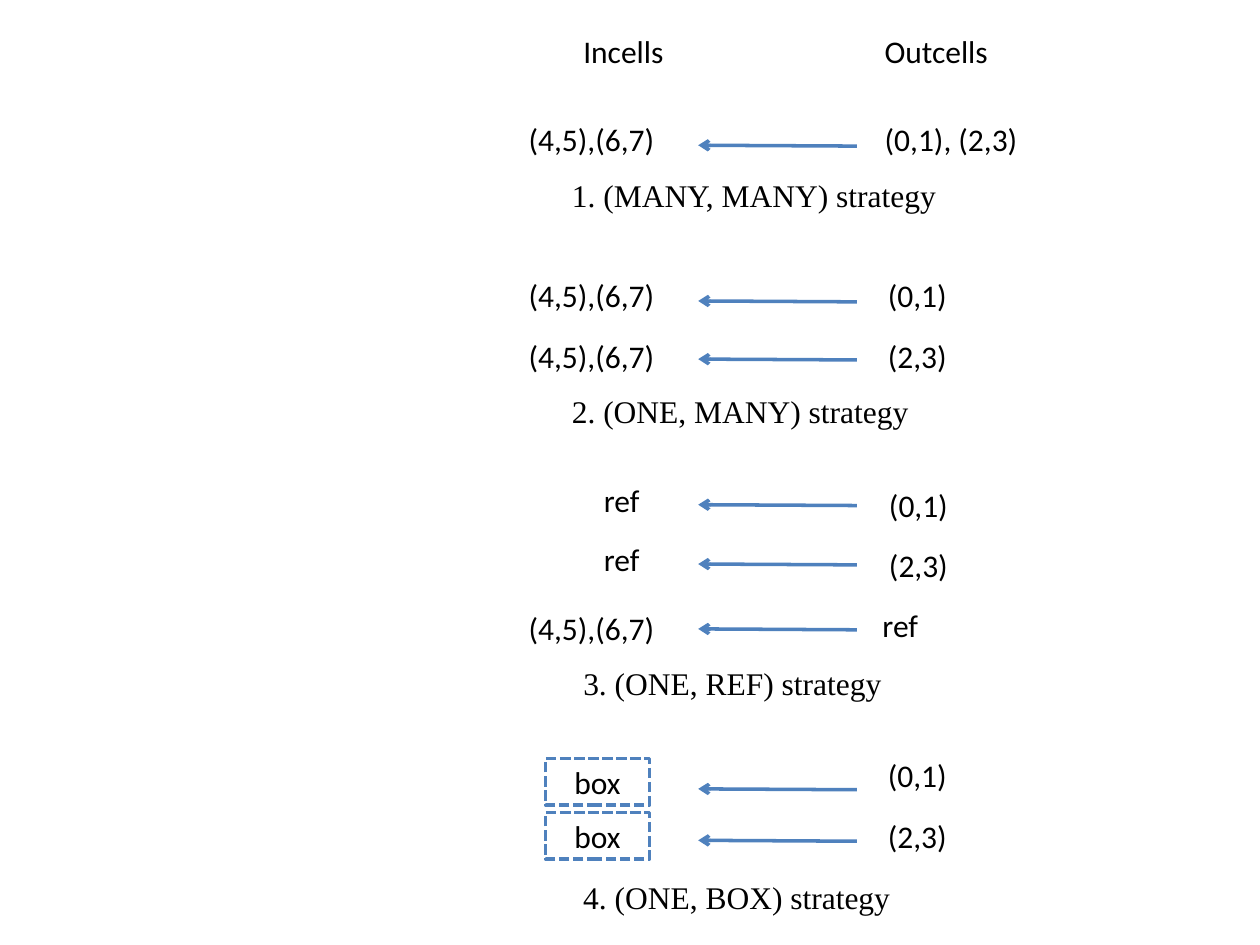
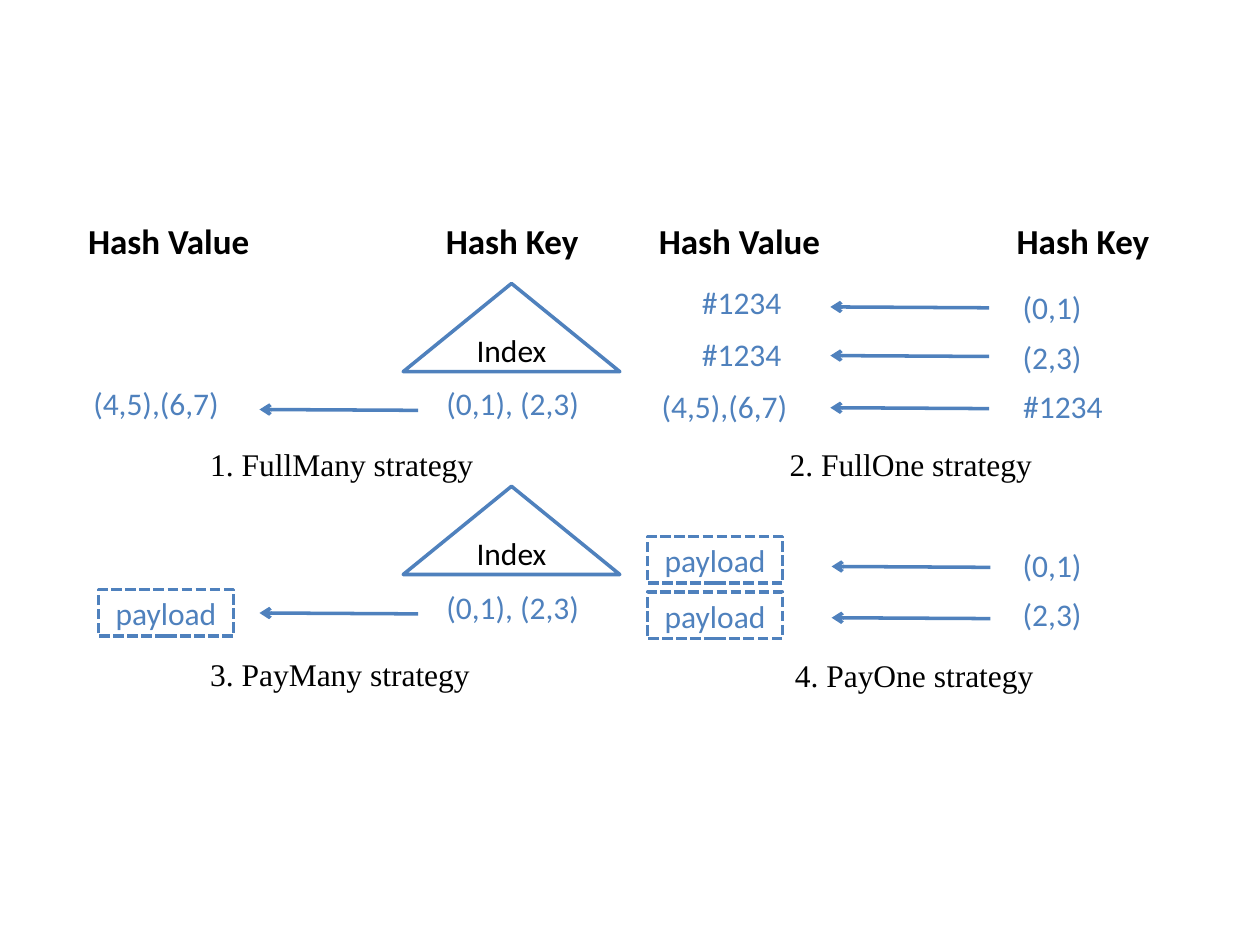
"""Two slides comparing how strategies map outcells and hash keys to values."""
from dataclasses import dataclass
from typing import NamedTuple, Optional

from lxml import etree
from pptx import Presentation
from pptx.dml.color import RGBColor
from pptx.enum import dml, shapes, text
from pptx.oxml import ns
from pptx.util import Pt

BLACK, WHITE, BLUE = "000000", "FFFFFF", "4F81BD"
SANS, SERIF = "Calibri", "Times New Roman"
LINE_WIDTH = 2
ARROW_LENGTH, ARROW_DROP = 90.7, 0.5
INDEX_SIZE = (123.8, 50.4)


@dataclass(frozen=True)
class Kind:
    """The look of one sort of cell, with its shift inside each column."""
    width: float
    height: float = 26.6
    centred: bool = True
    dashed: bool = False
    value_dx: float = 0
    key_dx: float = 0


class Row(NamedTuple):
    """A value and a key joined by an arrow, with the top of each."""
    value: str
    key: str
    value_y: float
    arrow_y: float
    key_y: float


class Label(NamedTuple):
    """A free line of text."""
    words: str
    x: float
    y: float
    width: float


class Panel(NamedTuple):
    """One strategy: its columns, rows, caption and optional index triangle."""
    value_x: float
    arrow_x: float
    key_x: float
    rows: list[Row]
    caption: Label
    index_at: Optional[tuple[float, float]] = None


PAIR = Kind(92)
SINGLE = Kind(53.3)
KINDS = {
    "(0,1)": SINGLE,
    "(2,3)": SINGLE,
    "(0,1), (2,3)": PAIR,
    "(4,5),(6,7)": PAIR,
    "ref": Kind(43, 28.8, centred=False, value_dx=46, key_dx=-1),
    "#1234": Kind(63.4, 28.8, centred=False, value_dx=26, key_dx=3),
    "box": Kind(59.3, dashed=True),
    "payload": Kind(77.2, dashed=True),
}

CELL_HEADS = [Label("Incells", 326.2, 14.5, 61.2), Label("Outcells", 498.4, 14.5, 74.2)]
CELL_PANELS = [
    Panel(292, 399, 497.5, [Row("(4,5),(6,7)", "(0,1), (2,3)", 66.2, 83, 66.2)],
          Label("1. (MANY, MANY) strategy", 319.7, 97.2, 224.6)),
    Panel(292, 399, 497.5,
          [Row("(4,5),(6,7)", "(0,1)", 155.5, 172, 155.5),
           Row("(4,5),(6,7)", "(2,3)", 190, 205.2, 190)],
          Label("2. (ONE, MANY) strategy", 319.7, 220.3, 208.8)),
    Panel(292, 399, 498.2,
          [Row("ref", "(0,1)", 271.5, 288.4, 275),
           Row("ref", "(2,3)", 305.3, 322.3, 309.6),
           Row("(4,5),(6,7)", "ref", 345.6, 359.4, 342.7)],
          Label("3. (ONE, REF) strategy", 326.2, 375.8, 186.5)),
    Panel(311.8, 399, 497.5,
          [Row("box", "(0,1)", 433.5, 450.8, 429.8),
           Row("box", "(2,3)", 464.4, 480.2, 464.4)],
          Label("4. (ONE, BOX) strategy", 326.2, 498.2, 191.5)),
]

HASH_HEADS = [Label(words, x + shift, 121.7, width)
              for shift in (0, 326.2)
              for words, x, width in (("Hash Value", 43.2, 108.7), ("Hash Key", 247.7, 91.4))]
HASH_PANELS = [
    Panel(43.2, 148.3, 247, [Row("(4,5),(6,7)", "(0,1), (2,3)", 216.7, 234, 216.7)],
          Label("1. FullMany strategy", 113, 250.6, 166.3), (230.4, 162)),
    Panel(368, 474.5, 574.6,
          [Row("#1234", "(0,1)", 158.4, 175.4, 162),
           Row("#1234", "(2,3)", 187.9, 203.2, 190.8),
           Row("(4,5),(6,7)", "#1234", 218.9, 233, 217.4)],
          Label("2. FullOne strategy", 444.2, 250.6, 154)),
    Panel(56.2, 148.3, 247, [Row("payload", "(0,1), (2,3)", 337, 350.3, 333.4)],
          Label("3. PayMany strategy", 113, 370.8, 164.2), (230.4, 277.9)),
    Panel(370, 475.2, 574.6,
          [Row("payload", "(0,1)", 306.7, 323.7, 309.6),
           Row("payload", "(2,3)", 338.4, 353, 337.7)],
          Label("4. PayOne strategy", 447.1, 371.5, 152.6)),
]


def rgb(color: str) -> RGBColor:
    """Turn a hex string into a colour."""
    return RGBColor.from_string(color)


def write(tf, words: str, *, size: float = 18, font: str = SANS, color: str = BLACK,
          bold: bool = False, centred: bool = False, wrap: bool = False) -> None:
    """Put formatted text in a frame; text that is not centred hangs from the top."""
    tf.word_wrap = wrap
    tf.vertical_anchor = text.MSO_ANCHOR.MIDDLE if centred else text.MSO_ANCHOR.TOP
    if not centred:
        tf.auto_size = text.MSO_AUTO_SIZE.SHAPE_TO_FIT_TEXT
    p = tf.paragraphs[0]
    p.alignment = text.PP_ALIGN.CENTER if centred else text.PP_ALIGN.LEFT
    r = p.add_run()
    r.text = words
    r.font.size, r.font.name, r.font.bold = Pt(size), font, bold
    r.font.color.rgb = rgb(color)


def add_label(s, label: Label, **style) -> None:
    """Draw a free line of text."""
    height = style.get("size", 18) * 1.6
    sp = s.shapes.add_textbox(Pt(label.x), Pt(label.y), Pt(label.width), Pt(height))
    write(sp.text_frame, label.words, **style)


def add_outline(s, preset, x: float, y: float, width: float, height: float,
                lined: bool = True):
    """Draw a white shape, with a blue outline if lined."""
    sp = s.shapes.add_shape(preset, Pt(x), Pt(y), Pt(width), Pt(height))
    sp.shadow.inherit = False
    sp.fill.solid()
    sp.fill.fore_color.rgb = rgb(WHITE)
    if lined:
        sp.line.color.rgb = rgb(BLUE)
        sp.line.width = Pt(LINE_WIDTH)
    else:
        sp.line.fill.background()
    return sp


def add_cell(s, words: str, x: float, y: float, color: str) -> None:
    """Draw a value or key in the look of its kind."""
    kind = KINDS[words]
    sp = add_outline(s, shapes.MSO_SHAPE.RECTANGLE, x, y, kind.width, kind.height, kind.dashed)
    if kind.dashed:
        sp.line.dash_style = dml.MSO_LINE.SQUARE_DOT
    write(sp.text_frame, words, color=color, centred=kind.centred, wrap=not kind.centred)


def add_arrow(s, x: float, y: float) -> None:
    """Draw an arrow that points left at x, y."""
    c = s.shapes.add_connector(shapes.MSO_CONNECTOR.STRAIGHT, Pt(x), Pt(y),
                               Pt(x + ARROW_LENGTH), Pt(y + ARROW_DROP))
    c.line.color.rgb = rgb(BLUE)
    c.line.width = Pt(LINE_WIDTH)
    etree.SubElement(c.line._get_or_add_ln(), ns.qn("a:headEnd"), type="arrow")
    etree.SubElement(c._element.spPr, ns.qn("a:effectLst"))


def add_panel(s, panel: Panel, color: str) -> None:
    """Draw one strategy."""
    for row in panel.rows:
        add_cell(s, row.value, panel.value_x + KINDS[row.value].value_dx, row.value_y, color)
        add_arrow(s, panel.arrow_x, row.arrow_y)
        add_cell(s, row.key, panel.key_x + KINDS[row.key].key_dx, row.key_y, color)
    add_label(s, panel.caption, font=SERIF)
    if panel.index_at:
        sp = add_outline(s, shapes.MSO_SHAPE.ISOSCELES_TRIANGLE, *panel.index_at, *INDEX_SIZE)
        write(sp.text_frame, "Index", centred=True)


def add_strategies(prs, heads: list[Label], panels: list[Panel], color: str,
                   **head_style) -> None:
    """Add a slide of column heads and strategy panels."""
    s = prs.slides.add_slide(prs.slide_layouts[6])
    for head in heads:
        add_label(s, head, **head_style)
    for panel in panels:
        add_panel(s, panel, color)


def main() -> None:
    """Build and save both slides."""
    prs = Presentation()
    prs.slide_width, prs.slide_height = Pt(720), Pt(540)
    add_strategies(prs, CELL_HEADS, CELL_PANELS, BLACK)
    add_strategies(prs, HASH_HEADS, HASH_PANELS, BLUE, size=20, bold=True)
    prs.save("out.pptx")


main()
